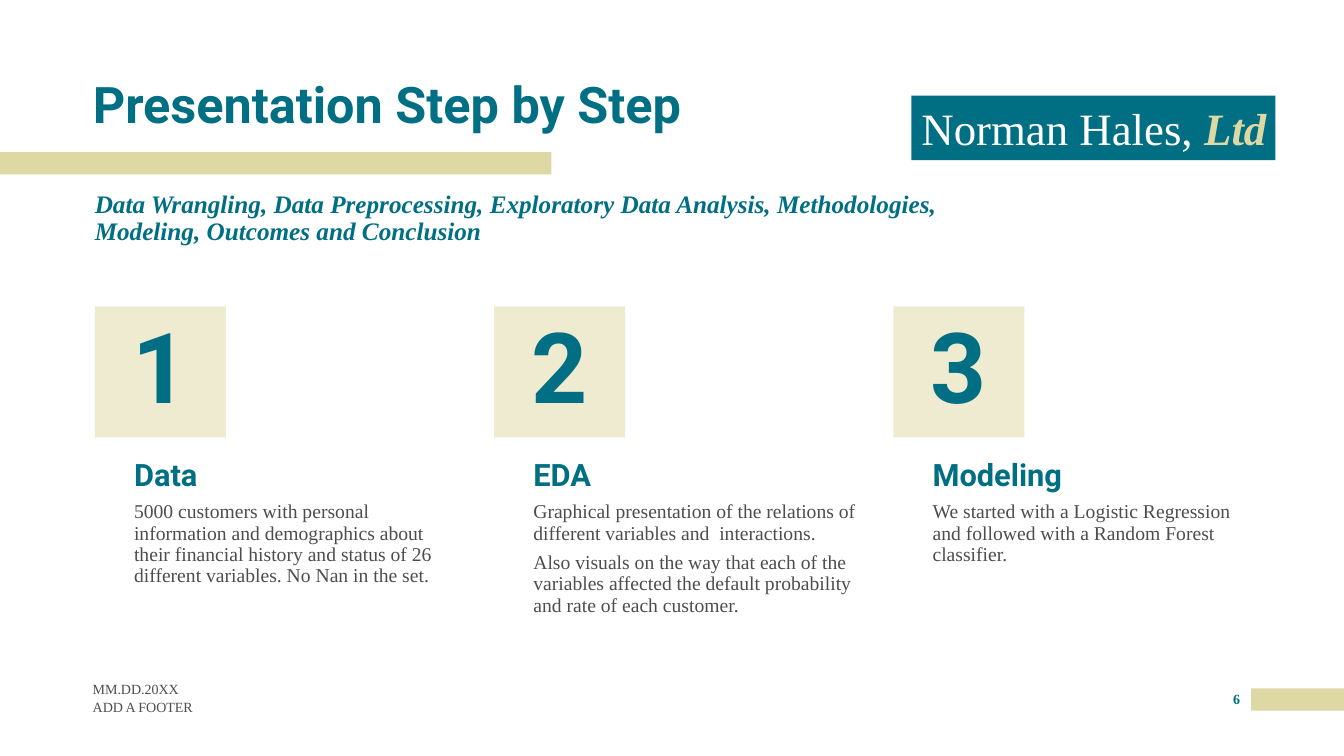
from lxml import etree
from pptx import Presentation
from pptx.dml.color import RGBColor
from pptx.enum import shapes, text
from pptx.oxml.ns import qn
from pptx.util import Inches, Pt

COLORS = {"teal": "006F83", "sand": "DED8A4", "gray": "4D4D4D", "white": "FFFFFF"}
HEAD, BODY = "Roboto", "Times New Roman"
TOP, MIDDLE, BOTTOM = text.MSO_ANCHOR.TOP, text.MSO_ANCHOR.MIDDLE, text.MSO_ANCHOR.BOTTOM
LEFT, CENTER = text.PP_ALIGN.LEFT, text.PP_ALIGN.CENTER

prs = Presentation()
prs.slide_width, prs.slide_height = Inches(13.33), Inches(7.5)
s = prs.slides.add_slide(prs.slide_layouts[5])


def add_rect(x, y, w, h, color, alpha=None):
    sp = s.shapes.add_shape(shapes.MSO_SHAPE.RECTANGLE, Inches(x), Inches(y), Inches(w), Inches(h))
    sp.shadow.inherit = False
    sp.fill.solid()
    sp.fill.fore_color.rgb = RGBColor.from_string(COLORS[color])
    sp.line.fill.background()
    if alpha:
        clr = sp.fill._xPr.find(".//" + qn("a:srgbClr"))
        etree.SubElement(clr, qn("a:alpha")).set("val", str(alpha * 1000))
    return sp


def write(paragraphs, box=None, sp=None, size=14, font=BODY, color="gray", bold=False,
          italic=False, align=LEFT, anchor=TOP, line=None, before=0, inset=0, wrap=True):
    """Write paragraphs into a shape or a new text box; a run is text or (text, overrides)."""
    sp = sp or s.shapes.add_textbox(*map(Inches, box))
    tf = sp.text_frame
    tf.word_wrap, tf.auto_size, tf.vertical_anchor = wrap, text.MSO_AUTO_SIZE.NONE, anchor
    tf.margin_left = tf.margin_right = Inches(inset)
    tf.margin_top = tf.margin_bottom = Inches(inset / 2)
    for i, runs in enumerate(paragraphs):
        p = tf.add_paragraph() if i else tf.paragraphs[0]
        p.alignment, p.line_spacing, p.space_before = align, line, Pt(before)
        for run in [runs] if isinstance(runs, str) else runs:
            words, own = (run, {}) if isinstance(run, str) else run
            r = p.add_run()
            r.text = words
            r.font.name, r.font.size = font, Pt(size)
            r.font.bold, r.font.italic = own.get("bold", bold), own.get("italic", italic)
            r.font.color.rgb = RGBColor.from_string(COLORS[own.get("color", color)])


# Accent bars
add_rect(12.41, 6.83, 0.92, 0.22, "sand")
add_rect(0, 1.51, 5.47, 0.22, "sand")

# Title and subtitle
title = s.shapes.title
title.left, title.top, title.width, title.height = map(Inches, (0.92, 0.68, 8.53, 0.65))
write(["Presentation Step by Step"], sp=title, size=36, font=HEAD, color="teal", bold=True,
      anchor=BOTTOM, line=0.9)
write(["Data Wrangling, Data Preprocessing, Exploratory Data Analysis, Methodologies, "
       "Modeling, Outcomes and Conclusion"], (0.94, 1.9, 8.53, 1.03),
      size=18, color="teal", bold=True, italic=True, line=0.9, before=10)

# Numbered steps
steps = [
    ("Data", ["5000 customers with personal information and demographics about their "
              "financial history and status of 26 different variables. No Nan in the set."]),
    ("EDA", ["Graphical presentation of the relations of different variables and  interactions.",
             "Also visuals on the way that each of the variables affected the default "
             "probability and rate of each customer."]),
    ("Modeling", ["We started with a Logistic Regression and followed with a Random Forest "
                  "classifier."]),
]
for i, (heading, details) in enumerate(steps):
    x = 0.94 + 3.96 * i
    tile = add_rect(x, 3.04, 1.3, 1.3, "sand", alpha=50)
    write([str(i + 1)], sp=tile, size=70, font=HEAD, color="teal", bold=True,
          align=CENTER, anchor=MIDDLE, line=0.9, before=10)
    write([heading], (x + 0.39, 4.38, 3.2, 0.51), size=22, font=HEAD, color="teal", bold=True,
          anchor=BOTTOM, line=0.9, before=10)
    write(details, (x + 0.39, 4.98, 3.2, 1.24), line=0.9, before=6)

# Footer
write(["MM.DD.20XX"], (0.92, 6.67, 3, 0.25), size=10, anchor=BOTTOM)
write(["ADD A FOOTER"], (0.92, 6.93, 3, 0.25), size=10)
write(["6"], (12.12, 6.85, 0.29, 0.25), size=10, color="teal", bold=True, align=CENTER)

# Company name
company = add_rect(9.04, 0.95, 3.61, 0.64, "teal")
write([["Norman Hales, ", ("Ltd", {"color": "sand", "bold": True, "italic": True})]],
      sp=company, size=32, color="white", inset=0.1, wrap=False)

prs.save("out.pptx")
